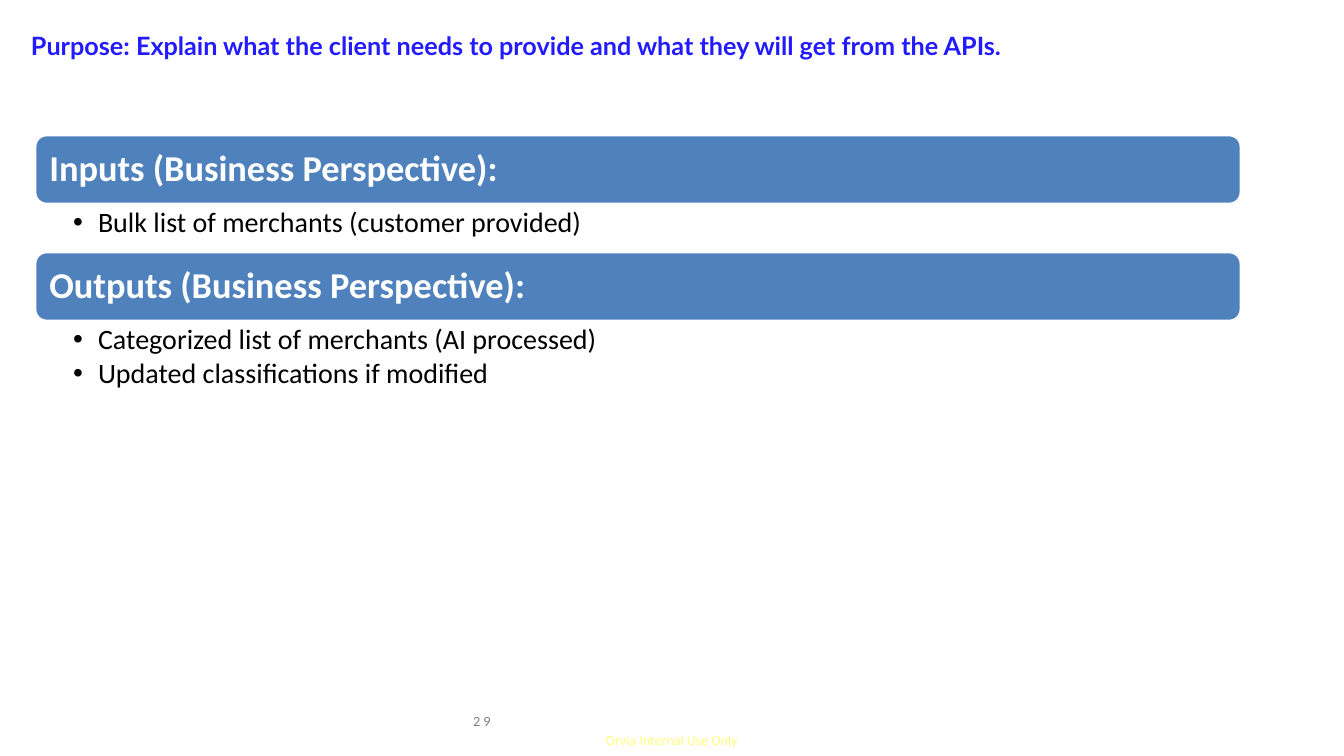
from lxml import etree
from pptx import Presentation
from pptx import util as u
from pptx.dml.color import RGBColor
from pptx.enum import shapes, text
from pptx.oxml.ns import qn

PX = 914400 / 100.8  # EMU per px

TITLE_BLUE = RGBColor(0x22, 0x1B, 0xFF)
BAND_BLUE = RGBColor(0x4F, 0x81, 0xBD)
WHITE = RGBColor(0xFF, 0xFF, 0xFF)
BLACK = RGBColor(0, 0, 0)
GREY = RGBColor(0x7E, 0x7E, 0x7E)
YELLOW = RGBColor(0xFF, 0xFF, 0)

BAND_HEIGHT = 69
SECTIONS = [
    ("Inputs (Business Perspective):", 48,
     ["Bulk list of merchants (customer provided)"]),
    ("Outputs (Business Perspective):", 78,
     ["Categorized list of merchants (AI processed)",
      "Updated classifications if modified"]),
]


def px(n):
    return u.Emu(round(n * PX))


def set_frame(frame, insets=(0, 0, 0, 0), anchor=text.MSO_ANCHOR.TOP):
    frame.word_wrap = True
    frame.auto_size = text.MSO_AUTO_SIZE.NONE
    frame.vertical_anchor = anchor
    (frame.margin_left, frame.margin_top,
     frame.margin_right, frame.margin_bottom) = map(px, insets)


def style(paragraph, font, size, color, bold=False):
    paragraph.alignment = text.PP_ALIGN.LEFT
    for run in paragraph.runs:
        run.font.name = font
        run.font.size = u.Pt(size)
        run.font.bold = bold
        run.font.color.rgb = color


def add_bullet(paragraph):
    props = paragraph._p.get_or_add_pPr()
    props.set("marL", str(px(25)))
    props.set("indent", str(-px(25)))
    etree.SubElement(props, qn("a:buFont"), typeface="Arial")
    etree.SubElement(props, qn("a:buChar"), char="•")


def add_title(slide, left, top, width, height):
    title = slide.shapes.title
    title.left, title.top, title.width, title.height = map(
        px, (left, top, width, height))
    title.text_frame.text = ("Purpose: Explain what the client needs to provide "
                             "and what they will get from the APIs.")
    set_frame(title.text_frame, (0, 1, 0, 0))
    style(title.text_frame.paragraphs[0], "Lato", 18, TITLE_BLUE, bold=True)


def add_small_text(slide, words, font, size, color, left, top, width, height):
    label = slide.shapes.add_textbox(*map(px, (left, top, width, height)))
    label.text_frame.text = words
    set_frame(label.text_frame)
    style(label.text_frame.paragraphs[0], font, size, color)
    return label.text_frame.paragraphs[0].runs[0]


def add_section(slide, heading, items, left, top, width, list_height):
    # Heading band
    band = slide.shapes.add_shape(shapes.MSO_SHAPE.ROUNDED_RECTANGLE,
                                  *map(px, (left, top, width, BAND_HEIGHT)))
    band.shadow.inherit = False
    band.fill.solid()
    band.fill.fore_color.rgb = BAND_BLUE
    band.line.color.rgb = WHITE
    band.line.width = u.Pt(2)
    band.text_frame.text = heading
    set_frame(band.text_frame, (11, 11, 11, 11), text.MSO_ANCHOR.MIDDLE)
    band.text_frame.paragraphs[0].line_spacing = 0.9
    style(band.text_frame.paragraphs[0], "Calibri", 26, WHITE, bold=True)

    # Bulleted list below it
    bullets = slide.shapes.add_textbox(
        *map(px, (left, top + BAND_HEIGHT, width, list_height)))
    bullets.text_frame.text = "\n".join(items)
    set_frame(bullets.text_frame, (38, 4, 20, 4))
    for item in bullets.text_frame.paragraphs:
        add_bullet(item)
        item.line_spacing = 0.9
        item.space_after = u.Pt(3)
        style(item, "Calibri", 20, BLACK)


def add_sections(slide, left, top, width):
    for heading, list_height, items in SECTIONS:
        add_section(slide, heading, items, left, top, width, list_height)
        top += BAND_HEIGHT + list_height


def add_footer(slide):
    notice = add_small_text(slide, "Orvia Internal Use Only", "Calibri", 10,
                            YELLOW, 606, 732, 145, 17)
    color = notice._r.find(".//" + qn("a:srgbClr"))
    etree.SubElement(color, qn("a:alpha"), val="50000")
    add_small_text(slide, "2 9", "Lato", 9, GREY, 473, 714, 29, 19)


def main():
    deck = Presentation()
    deck.slide_width, deck.slide_height = px(1344), px(756)
    slide = deck.slides.add_slide(deck.slide_layouts[5])
    add_title(slide, 31, 29, 1225, 33)
    add_sections(slide, 35, 135, 1206)
    add_footer(slide)
    deck.save("out.pptx")


if __name__ == "__main__":
    main()
